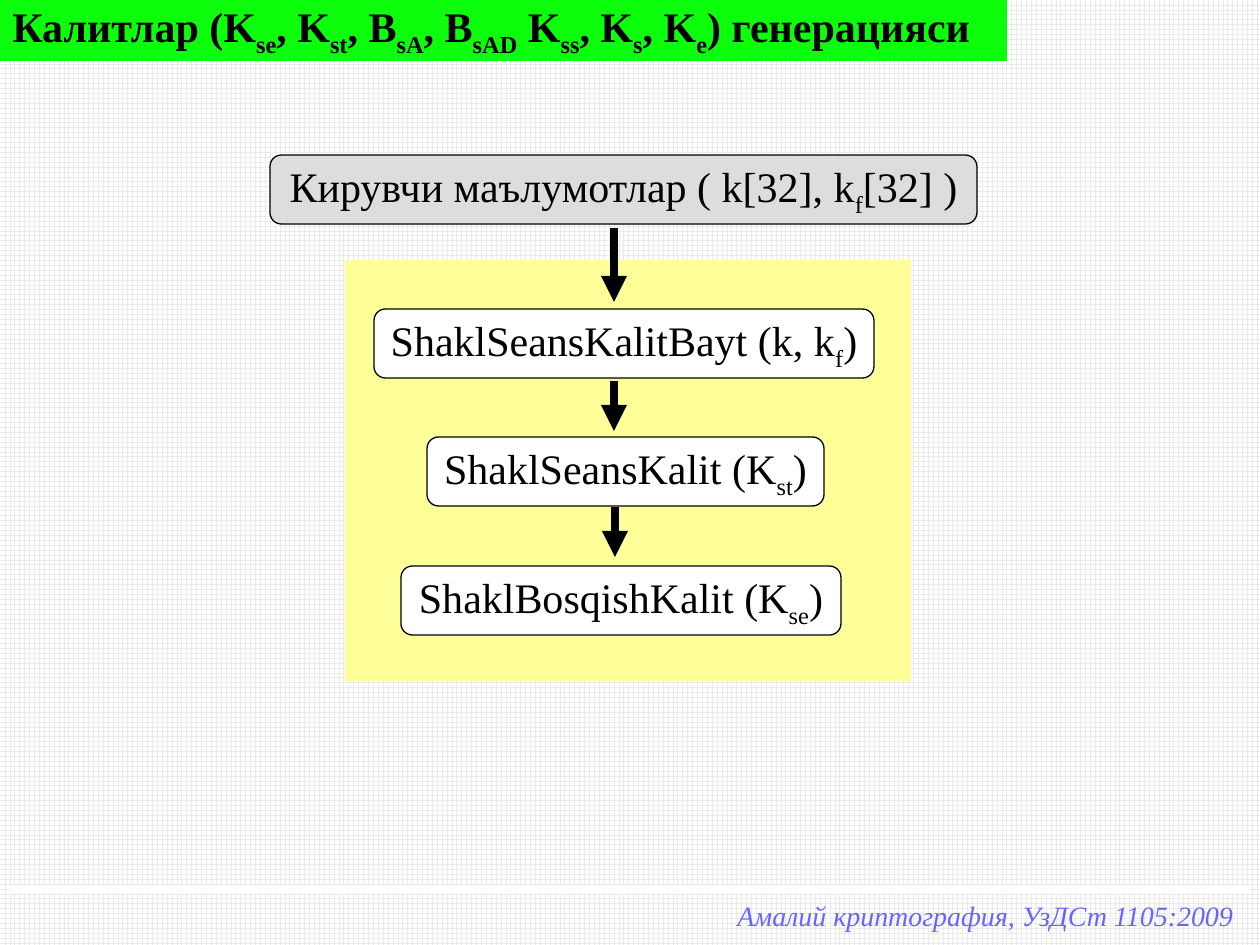
from pptx import Presentation
from pptx import util as u
from pptx.dml.color import RGBColor
from pptx.enum import dml, shapes, text
from pptx.oxml.ns import qn
from lxml import etree

PX = 914400 / 126
HUES = {
    "ink": "000000", "paper": "FFFFFF", "grid": "EAEAEA", "head": "00FF00",
    "input": "DDDDDD", "panel": "FFFF99", "foot": "6666FF",
}
BODY = {"size": u.Pt(24), "name": "Times New Roman"}
BOLD = {**BODY, "bold": True}
NOTE = {**BODY, "size": u.Pt(16), "italic": True}


def hue(name):
    return RGBColor.from_string(HUES[name])


def emu(*px):
    return [u.Emu(round(n * PX)) for n in px]


class Board:
    """Holds the current slide and draws on it in px."""

    def __init__(self, slide):
        self.slide = slide
        self.shapes = slide.shapes

    def back(self):
        fill = self.slide.background.fill
        fill.patterned()
        fill.pattern = dml.MSO_PATTERN.LARGE_GRID
        fill.fore_color.rgb = hue("grid")
        fill.back_color.rgb = hue("paper")

    def letter(self, shape, words, form=BODY, tint="ink", align="LEFT"):
        """Fill a shape with text; every second part between bars is a subscript."""
        frame = shape.text_frame
        frame.word_wrap = False
        frame.auto_size = text.MSO_AUTO_SIZE.SHAPE_TO_FIT_TEXT
        para = frame.paragraphs[0]
        para.alignment = text.PP_ALIGN[align]
        for i, part in enumerate(words.split("|")):
            run = para.add_run()
            run.text = part
            for key, value in form.items():
                setattr(run.font, key, value)
            run.font.color.rgb = hue(tint)
            if i % 2:
                run._r.get_or_add_rPr().set("baseline", "-25000")

    def block(self, kind, box, tint, edge=False):
        shape = self.shapes.add_shape(kind, *emu(*box))
        shape.shadow.inherit = False
        shape.fill.solid()
        shape.fill.fore_color.rgb = hue(tint)
        if edge:
            shape.line.color.rgb = hue("ink")
            shape.line.width = u.Pt(0.75)
        else:
            shape.line.fill.background()
        shape.text_frame.vertical_anchor = text.MSO_ANCHOR.MIDDLE
        return shape

    def rect(self, box, tint):
        return self.block(shapes.MSO_SHAPE.RECTANGLE, box, tint)

    def step(self, box, words, tint="paper"):
        shape = self.block(shapes.MSO_SHAPE.ROUNDED_RECTANGLE, box, tint, True)
        self.letter(shape, words, align="CENTER")

    def label(self, box, words, form, tint):
        self.letter(self.shapes.add_textbox(*emu(*box)), words, form, tint)

    def line(self, ends, tint="ink", head=True):
        link = self.shapes.add_connector(shapes.MSO_CONNECTOR.STRAIGHT, *emu(*ends))
        link.line.color.rgb = hue(tint)
        link.line.width = u.Pt(5)
        if head:
            tail = etree.SubElement(link.line._get_or_add_ln(), qn("a:tailEnd"))
            tail.set("type", "triangle")
        etree.SubElement(link._element.spPr, qn("a:effectLst"))


def main():
    deck = Presentation()
    deck.slide_width, deck.slide_height = emu(1260, 945)
    board = Board(deck.slides.add_slide(deck.slide_layouts[6]))
    board.back()

    head = board.rect((0, -2, 1007, 63), "head")
    color = head._element.spPr.find(qn("a:solidFill"))[0]
    etree.SubElement(color, qn("a:alpha")).set("val", "95000")
    board.letter(head, "Калитлар (K|se|, K|st|, B|sA|, B|sAD| K|ss|, K|s|, K|e|) генерацияси", BOLD)

    high = 69
    board.step((270, 155, 707, high), "Кирувчи маълумотлар ( k[32], k|f|[32] )", "input")
    board.line((10, 889, 1250, 889), "paper", head=False)
    board.label((725, 892, 525, 47), "Амалий криптография, УзДСт 1105:2009", NOTE, "foot")

    board.rect((345, 260, 566, 421), "panel")
    steps = [
        (374, 500, "ShaklSeansKalitBayt (k, k|f|)"),
        (427, 397, "ShaklSeansKalit (K|st|)"),
        (401, 440, "ShaklBosqishKalit (K|se|)"),
    ]
    for i, (left, wide, words) in enumerate(steps):
        board.step((left, 309 + i * 257 // 2, wide, high), words)
    for x, top, end in [(614, 228, 302), (614, 381, 431), (615, 507, 557)]:
        board.line((x, top, x, end))

    deck.save("out.pptx")


if __name__ == "__main__":
    main()
